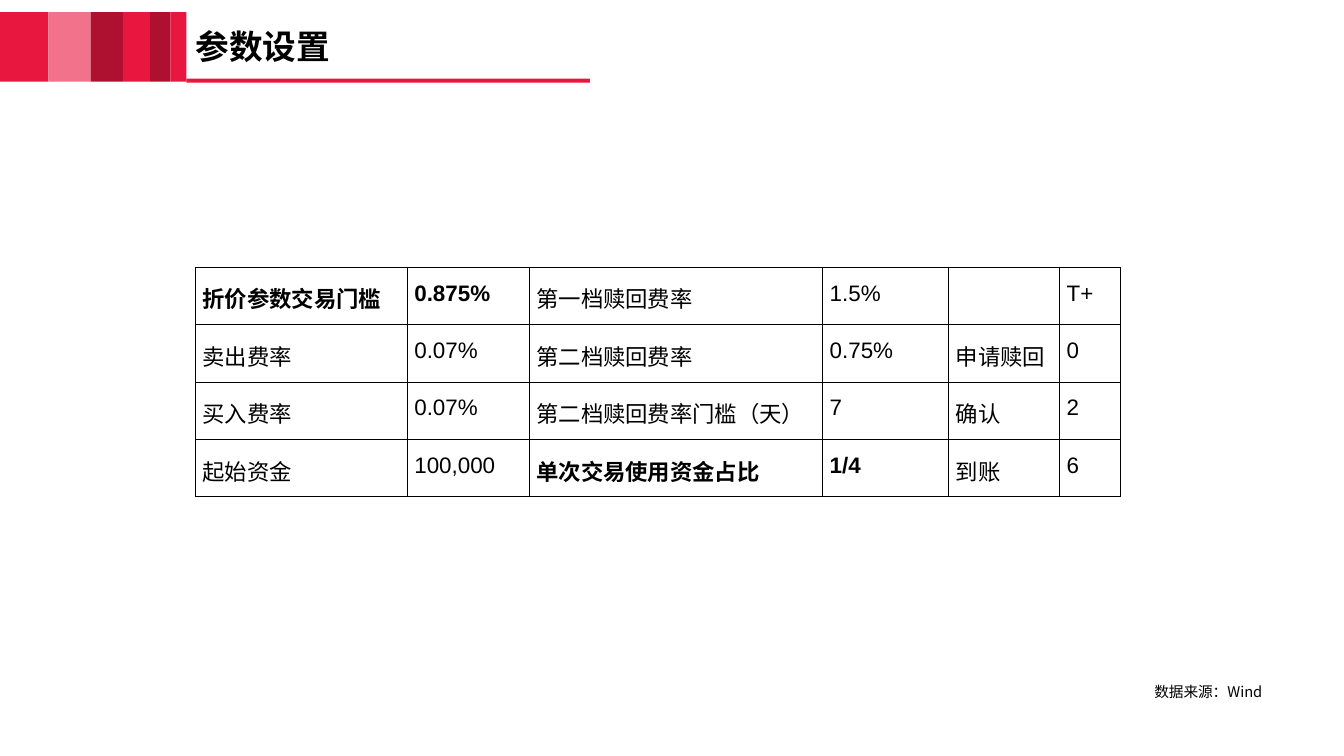
from dataclasses import dataclass
from itertools import accumulate

from lxml import etree
from pptx import Presentation
from pptx.dml.color import RGBColor
from pptx.enum import shapes, text
from pptx.oxml import ns
from pptx.util import Inches, Pt


@dataclass(frozen=True)
class Theme:
    red: str = "E8173F"
    pink: str = "F1728A"
    dark: str = "AE112F"
    ink: str = "000000"
    sans: str = "Arial"
    han: str = "Noto Sans CJK SC"
    head: float = 24
    body: float = 16
    note: float = 10.5
    rule: float = 0.75


THEME = Theme()
BARS = [(0.48, THEME.red), (0.42, THEME.pink), (0.32, THEME.dark),
        (0.27, THEME.red), (0.2, THEME.dark), (0.16, THEME.red)]
COLS = [2.1, 1.21, 2.91, 1.25, 1.1, 0.6]
ROWS = [
    ["折价参数交易门槛", "0.875%", "第一档赎回费率", "1.5%", "", "T+"],
    ["卖出费率", "0.07%", "第二档赎回费率", "0.75%", "申请赎回", "0"],
    ["买入费率", "0.07%", "第二档赎回费率门槛（天）", "7", "确认", "2"],
    ["起始资金", "100,000", "单次交易使用资金占比", "1/4", "到账", "6"],
]
BOLD = {(0, 0), (0, 1), (3, 2), (3, 3)}


def style(para, size, face, bold=False):
    """Format every run, with the Han face for East Asian text."""
    for run in para.runs:
        font = run.font
        font.name, font.size, font.bold = face, Pt(size), bold
        font.color.rgb = RGBColor.from_string(THEME.ink)
        props = run._r.get_or_add_rPr()
        etree.SubElement(props, ns.qn("a:ea"), typeface=THEME.han)


def trim(frame):
    frame.margin_left = frame.margin_right = 0
    frame.margin_top = frame.margin_bottom = 0
    frame.word_wrap = True


def add_bar(slide, left, top, width, height, color):
    bar = slide.shapes.add_shape(
        shapes.MSO_SHAPE.RECTANGLE,
        Inches(left), Inches(top), Inches(width), Inches(height))
    bar.shadow.inherit = False
    bar.fill.solid()
    bar.fill.fore_color.rgb = RGBColor.from_string(color)
    bar.line.fill.background()


def add_head(slide, left, top, height):
    """Colour bars, the underline and the title beside them."""
    edges = list(accumulate((width for width, _ in BARS), initial=left))
    for edge, (width, color) in zip(edges, BARS):
        add_bar(slide, edge, top, width, height, color)
    add_bar(slide, edges[-1], top + height - 0.03, 4, 0.04, THEME.red)

    title = slide.shapes.title
    title.left, title.top = Inches(edges[-1] + 0.09), Inches(top + 0.19)
    title.width, title.height = Inches(4.86), Inches(0.34)
    frame = title.text_frame
    frame.text = "参数设置"
    trim(frame)
    frame.vertical_anchor = text.MSO_ANCHOR.MIDDLE
    para = frame.paragraphs[0]
    para.alignment = text.PP_ALIGN.LEFT
    para.line_spacing = 0.9
    style(para, THEME.head, THEME.han, True)


def add_edges(cell):
    props = cell._tc.get_or_add_tcPr()
    for side in ("lnL", "lnR", "lnT", "lnB"):
        line = etree.SubElement(props, ns.qn("a:" + side), w=str(Pt(THEME.rule)))
        fill = etree.SubElement(line, ns.qn("a:solidFill"))
        etree.SubElement(fill, ns.qn("a:srgbClr"), val=THEME.ink)


def add_grid(slide, left, top, height):
    grid = slide.shapes.add_table(
        len(ROWS), len(COLS), Inches(left), Inches(top),
        Inches(sum(COLS)), Inches(height)).table
    grid.first_row = grid.horz_banding = False
    for col, width in zip(grid.columns, COLS):
        col.width = Inches(width)
    for r, row in enumerate(ROWS):
        for c, words in enumerate(row):
            cell = grid.cell(r, c)
            cell.margin_left = cell.margin_right = Inches(0.07)
            cell.margin_top = cell.margin_bottom = Inches(0.1)
            add_edges(cell)
            cell.fill.background()
            if words:
                cell.text_frame.text = words
                para = cell.text_frame.paragraphs[0]
                para.line_spacing = 1.15
                style(para, THEME.body, THEME.sans, (r, c) in BOLD)


def add_note(slide, left, top, width, height):
    box = slide.shapes.add_textbox(
        Inches(left), Inches(top), Inches(width), Inches(height))
    frame = box.text_frame
    frame.text = "数据来源：Wind"
    trim(frame)
    para = frame.paragraphs[0]
    para.alignment = text.PP_ALIGN.RIGHT
    style(para, THEME.note, THEME.han)


def main():
    deck = Presentation()
    deck.slide_width, deck.slide_height = Inches(13.33), Inches(7.5)
    slide = deck.slides.add_slide(deck.slide_layouts[5])
    add_head(slide, 0, 0.12, 0.69)
    add_grid(slide, 1.94, 2.65, 2.28)
    add_note(slide, 9.76, 6.77, 2.76, 0.18)
    deck.save("out.pptx")


if __name__ == "__main__":
    main()
